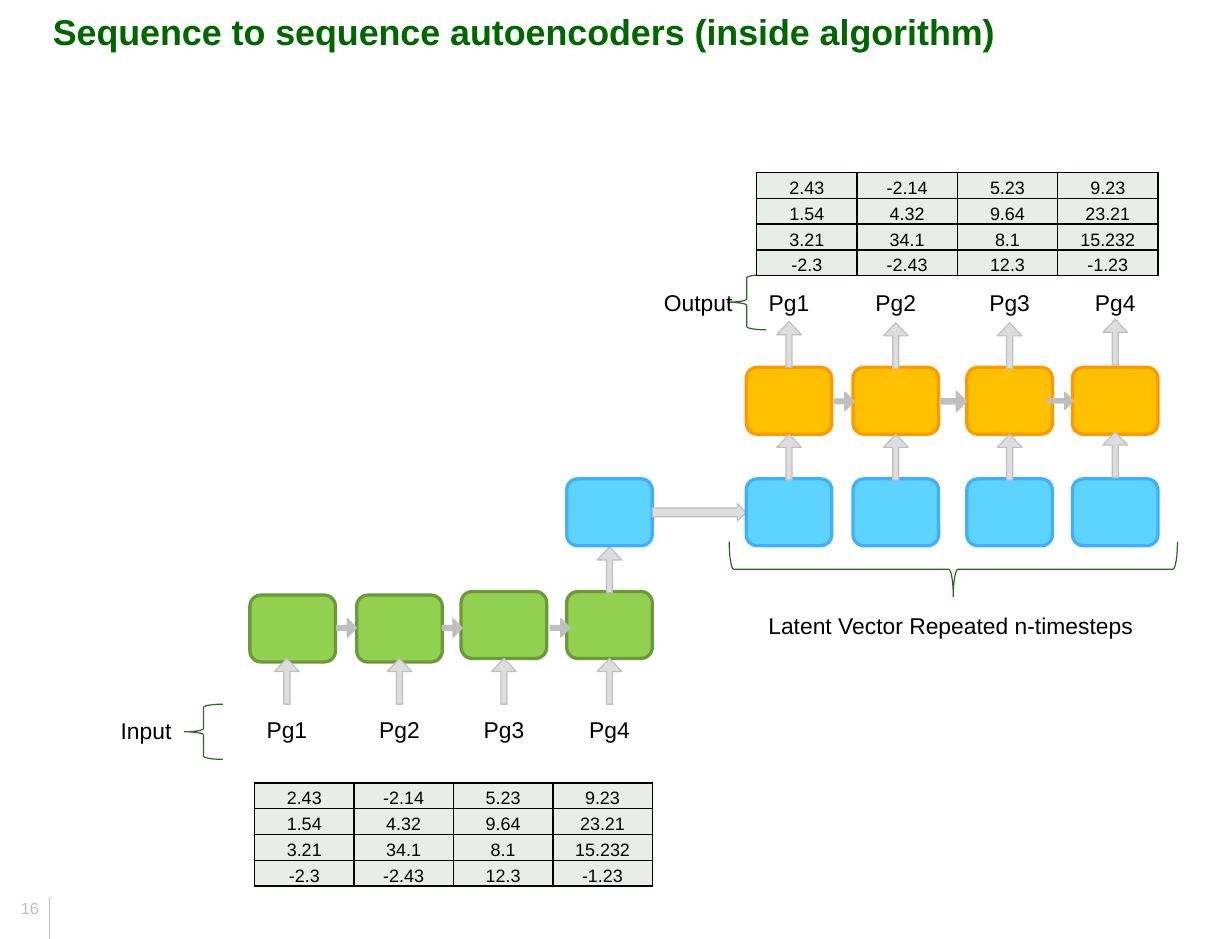
import lxml.etree
import pptx
import pptx.dml.color
import pptx.enum.shapes
import pptx.enum.text
import pptx.oxml
import pptx.oxml.ns
import pptx.util

PX = 9144
FONT = "Arial"
COLORS = {
    "title": "006600", "text": "000000", "muted": "BFBFBF", "cell": "E8EDE8",
    "arrow": "DDDDDD", "brace": "2D6822", "encoder": "92D050", "encoder_line": "6C9A3B",
    "latent": "5DD4FF", "latent_line": "40AFFF", "decoder": "FFC000", "decoder_line": "FF9900",
}
SHAPES = pptx.enum.shapes.MSO_SHAPE
ALIGN = pptx.enum.text.PP_ALIGN
ANCHOR = pptx.enum.text.MSO_ANCHOR
PAGES = ["Pg1", "Pg2", "Pg3", "Pg4"]
VALUES = [
    ["2.43", "-2.14", "5.23", "9.23"],
    ["1.54", "4.32", "9.64", "23.21"],
    ["3.21", "34.1", "8.1", "15.232"],
    ["-2.3", "-2.43", "12.3", "-1.23"],
]
ENCODER_BOXES = [(213, 507), (304, 507), (393, 504), (483, 504)]
ENCODER_CENTERS = [244, 340, 429, 519]
DECODER_CENTERS = [672, 763, 860, 950]
DECODER_ARROW_TOPS = [(370, 274), (370, 275), (370, 275), (368, 272)]
STEP_ARROWS = [
    (287, 527, 17, 16), (377, 527, 17, 16), (469, 527, 17, 16),
    (711, 334, 17, 16), (801, 333, 23, 18), (893, 334, 22, 15),
]


def rgb(name):
    """Return the named colour."""
    return pptx.dml.color.RGBColor.from_string(COLORS[name])


def box(*lengths):
    """Convert px lengths to EMU."""
    return [pptx.util.Emu(length * PX) for length in lengths]


def add_run(paragraph, text, size, color="text", bold=False):
    """Add one formatted run to a paragraph."""
    run = paragraph.add_run()
    run.text = text
    run.font.name = FONT
    run.font.size = pptx.util.Pt(size)
    run.font.bold = bold
    run.font.color.rgb = rgb(color)


def add_title(slide, text):
    """Place and format the title placeholder."""
    title = slide.shapes.title
    title.left, title.top, title.width, title.height = box(35, 0, 980, 115)
    frame = title.text_frame
    frame.word_wrap = True
    frame.vertical_anchor = ANCHOR.TOP
    frame.margin_left, frame.margin_top = box(10, 8)
    paragraph = frame.paragraphs[0]
    paragraph.alignment = ALIGN.LEFT
    add_run(paragraph, text, 22, "title", True)


def add_label(slide, text, bounds, alignment=ALIGN.LEFT, size=14, color="text", anchor=ANCHOR.TOP):
    """Add a single-line text label."""
    frame = slide.shapes.add_textbox(*box(*bounds)).text_frame
    frame.word_wrap = False
    frame.vertical_anchor = anchor
    paragraph = frame.paragraphs[0]
    paragraph.alignment = alignment
    add_run(paragraph, text, size, color)


def add_shape(slide, kind, bounds, fill, line, width=0.75, adjustments=()):
    """Add a preset shape with flat fill and line."""
    shape = slide.shapes.add_shape(kind, *box(*bounds))
    shape.shadow.inherit = False
    if fill:
        shape.fill.solid()
        shape.fill.fore_color.rgb = rgb(fill)
    else:
        shape.fill.background()
    shape.line.color.rgb = rgb(line)
    shape.line.width = pptx.util.Pt(width)
    for index, value in enumerate(adjustments):
        shape.adjustments[index] = value
    return shape


def add_cell(slide, left, top, role):
    """Add one rounded network cell."""
    add_shape(slide, SHAPES.ROUNDED_RECTANGLE, (left, top, 73, 57), role, role + "_line", 2)


def add_up_arrow(slide, center, top):
    """Add an upward arrow on a column centre."""
    add_shape(slide, SHAPES.UP_ARROW, (center - 10, top, 21, 39), "arrow", "muted",
              adjustments=(0.248, 0.531))


def add_page_label(slide, text, center, top):
    """Add a centred page label to a column."""
    add_label(slide, text, (center - 27, top, 55, 34), ALIGN.CENTER)


def add_brace(slide, bounds, rotation=0):
    """Add a left brace."""
    add_shape(slide, SHAPES.LEFT_BRACE, bounds, None, "brace").rotation = rotation


def add_borders(cell):
    """Draw thin black borders on all sides of a table cell."""
    properties = cell._tc.get_or_add_tcPr()
    for index, side in enumerate(("lnL", "lnR", "lnT", "lnB")):
        border = pptx.oxml.parse_xml(
            f'<a:{side} {pptx.oxml.ns.nsdecls("a")} w="12700"><a:solidFill>'
            f'<a:srgbClr val="{COLORS["text"]}"/></a:solidFill></a:{side}>')
        properties.insert(index, border)


def add_values_table(slide, bounds):
    """Add the table of page vectors."""
    table = slide.shapes.add_table(len(VALUES), len(PAGES), *box(*bounds)).table
    table.first_row = table.horz_banding = False
    for row, values in zip(table.rows, VALUES):
        row.height = pptx.util.Emu(22 * PX)
        for cell, value in zip(row.cells, values):
            cell.margin_left, cell.margin_right, cell.margin_top, cell.margin_bottom = box(1, 1, 1, 0)
            cell.vertical_anchor = ANCHOR.BOTTOM
            cell.fill.solid()
            cell.fill.fore_color.rgb = rgb("cell")
            add_borders(cell)
            paragraph = cell.text_frame.paragraphs[0]
            paragraph.alignment = ALIGN.CENTER
            add_run(paragraph, value, 11)


def add_page_number(slide):
    """Add the page number and its rule."""
    rule = slide.shapes.add_connector(
        pptx.enum.shapes.MSO_CONNECTOR.STRAIGHT, *box(42, 800, 42, 764))
    rule.line.color.rgb = rgb("muted")
    rule.line.width = pptx.util.Pt(0.5)
    lxml.etree.SubElement(rule._element.spPr, pptx.oxml.ns.qn("a:effectLst"))
    add_label(slide, "16", (8, 731, 37, 56), size=10, color="muted", anchor=ANCHOR.BOTTOM)


def add_encoder(slide):
    """Add the encoder cells with their inputs."""
    for (left, top), center, page in zip(ENCODER_BOXES, ENCODER_CENTERS, PAGES):
        add_cell(slide, left, top, "encoder")
        add_up_arrow(slide, center, 561)
        add_page_label(slide, page, center, 605)
    add_up_arrow(slide, ENCODER_CENTERS[-1], 466)
    add_cell(slide, 483, 408, "latent")
    add_shape(slide, SHAPES.RIGHT_ARROW, (556, 429, 80, 15), "arrow", "muted")


def add_decoder(slide):
    """Add the repeated latent vectors, decoder cells and outputs."""
    for center, arrow_tops, page in zip(DECODER_CENTERS, DECODER_ARROW_TOPS, PAGES):
        add_cell(slide, center - 36, 408, "latent")
        add_cell(slide, center - 36, 313, "decoder")
        for top in arrow_tops:
            add_up_arrow(slide, center, top)
        add_page_label(slide, page, center, 241)


def main():
    """Build the slide and save it."""
    presentation = pptx.Presentation()
    presentation.slide_width, presentation.slide_height = box(1050, 800)
    slide = presentation.slides.add_slide(presentation.slide_layouts[5])
    add_page_number(slide)
    add_title(slide, "Sequence to sequence autoencoders (inside algorithm)")
    add_encoder(slide)
    add_decoder(slide)
    for bounds in STEP_ARROWS:
        add_shape(slide, SHAPES.RIGHT_ARROW, bounds, "muted", "muted", adjustments=(0.242, 0.5))
    add_brace(slide, (157, 600, 33, 47))
    add_label(slide, "Input", (93, 606, 64, 34))
    add_brace(slide, (789, 294, 47, 382), 270)
    add_label(slide, "Latent Vector Repeated n-timesteps", (645, 516, 332, 34))
    add_brace(slide, (620, 234, 33, 47))
    add_label(slide, "Output", (556, 241, 79, 34))
    add_values_table(slide, (217, 667, 339, 88))
    add_values_table(slide, (645, 147, 342, 88))
    presentation.save("out.pptx")


if __name__ == "__main__":
    main()
